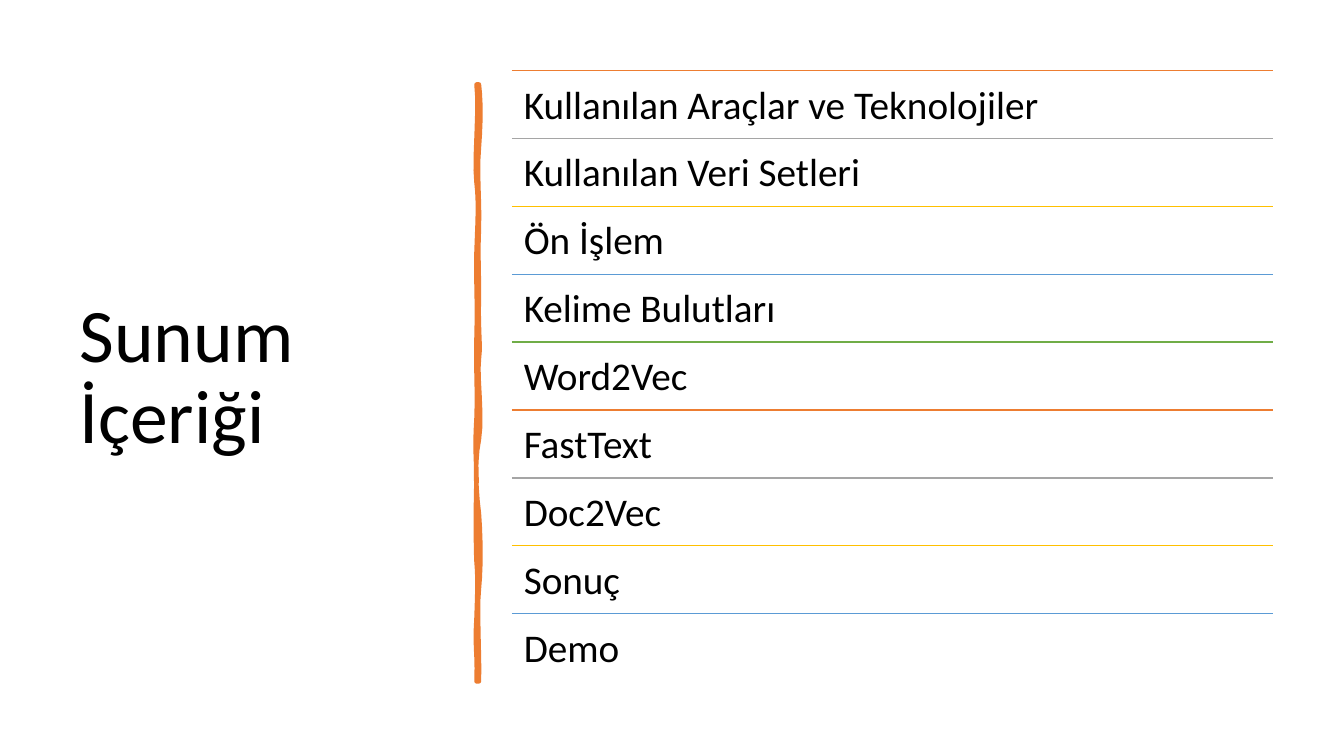
"""Builds the agenda slide: a title, a hand-drawn divider and a ruled list of topics."""

from typing import NamedTuple

from lxml import etree
from pptx import Presentation
from pptx.dml.color import RGBColor
from pptx.enum.shapes import MSO_CONNECTOR
from pptx.enum.text import MSO_ANCHOR, MSO_AUTO_SIZE, PP_ALIGN
from pptx.oxml.ns import qn
from pptx.shapes.autoshape import Shape
from pptx.slide import Slide
from pptx.util import Cm, Length, Pt

STRAIGHT = MSO_CONNECTOR.STRAIGHT
TOP, MIDDLE = MSO_ANCHOR.TOP, MSO_ANCHOR.MIDDLE
NO_AUTOFIT = MSO_AUTO_SIZE.NONE
LEFT = PP_ALIGN.LEFT

BLACK = RGBColor(0x00, 0x00, 0x00)
ORANGE = RGBColor(0xED, 0x7D, 0x31)
GRAY = RGBColor(0xA5, 0xA5, 0xA5)
GOLD = RGBColor(0xFF, 0xC0, 0x00)
BLUE = RGBColor(0x5B, 0x9B, 0xD5)
GREEN = RGBColor(0x70, 0xAD, 0x47)

FONT = "Calibri"
LIST_LEFT, LIST_TOP, LIST_WIDTH = Cm(12.9), Cm(1.78), Cm(19.18)
ROW_HEIGHT = Cm(1.71)
TEXT_RISE = Cm(0.29)
TEXT_INSET = Cm(0.3)
CURVE_STEPS = 6


class Topic(NamedTuple):
    name: str
    color: RGBColor


class Point(NamedTuple):
    x: float
    y: float


class Curve(NamedTuple):
    first_control: Point
    second_control: Point
    end: Point


TOPICS = [
    Topic("Kullanılan Araçlar ve Teknolojiler", ORANGE),
    Topic("Kullanılan Veri Setleri", GRAY),
    Topic("Ön İşlem", GOLD),
    Topic("Kelime Bulutları", BLUE),
    Topic("Word2Vec", GREEN),
    Topic("FastText", ORANGE),
    Topic("Doc2Vec", GRAY),
    Topic("Sonuç", GOLD),
    Topic("Demo", BLUE),
]

RIGHT_EDGE_START = Point(12.07, 2.13)
RIGHT_EDGE = [
    Curve(Point(12.12, 2.59), Point(12.12, 3.02), Point(12.07, 3.71)),
    Curve(Point(12.01, 4.39), Point(12.09, 4.95), Point(12.07, 5.74)),
    Curve(Point(12.04, 6.53), Point(12.07, 6.65), Point(12.07, 7.47)),
    Curve(Point(12.04, 8.26), Point(12.12, 8.69), Point(12.07, 9.04)),
    Curve(Point(12.01, 9.4), Point(12.17, 10.52), Point(12.07, 11.07)),
    Curve(Point(11.96, 11.61), Point(11.99, 12.29), Point(12.07, 12.95)),
    Curve(Point(12.12, 13.61), Point(12.12, 14.33), Point(12.07, 14.83)),
    Curve(Point(12.01, 15.32), Point(12.09, 16.51), Point(12.07, 17.17)),
]
LEFT_EDGE_START = Point(12.01, 17.17)
LEFT_EDGE = [
    Curve(Point(12.04, 16.41), Point(11.96, 16.36), Point(12.01, 15.57)),
    Curve(Point(12.04, 14.81), Point(12.04, 14.48), Point(12.01, 14.15)),
    Curve(Point(11.99, 13.82), Point(11.99, 12.57), Point(12.01, 12.12)),
    Curve(Point(12.01, 11.66), Point(11.96, 11.3), Point(12.01, 10.54)),
    Curve(Point(12.04, 9.8), Point(11.99, 9.47), Point(12.01, 8.51)),
    Curve(Point(12.04, 7.57), Point(11.99, 7.14), Point(12.01, 6.35)),
    Curve(Point(12.04, 5.54), Point(12.07, 5.08), Point(12.01, 4.6)),
    Curve(Point(11.94, 4.14), Point(12.09, 2.64), Point(12.01, 2.13)),
]


def place(shape: Shape, left: Length, top: Length, width: Length, height: Length) -> None:
    shape.left, shape.top, shape.width, shape.height = left, top, width, height


def format_text(shape: Shape, size: Length, anchor: MSO_ANCHOR, spacing: float | Length) -> None:
    frame = shape.text_frame
    frame.word_wrap = True
    frame.auto_size = NO_AUTOFIT
    frame.vertical_anchor = anchor
    for paragraph in frame.paragraphs:
        paragraph.alignment = LEFT
        paragraph.line_spacing = spacing
        paragraph.space_before = paragraph.space_after = Pt(0)
        for run in paragraph.runs:
            run.font.name = FONT
            run.font.size = size
            run.font.color.rgb = BLACK


def add_title(slide: Slide) -> None:
    title = slide.shapes.title
    place(title, Cm(1.75), Cm(1.78), Cm(9.5), Cm(15.52))
    title.text_frame.text = "Sunum İçeriği"
    format_text(title, Pt(54), MIDDLE, 0.9)


def edge_points(start: Point, curves: list[Curve]) -> list[Point]:
    points = [start]
    for first, second, end in curves:
        begin = points[-1]
        for step in range(1, CURVE_STEPS + 1):
            t = step / CURVE_STEPS
            weights = ((1 - t) ** 3, 3 * t * (1 - t) ** 2, 3 * t * t * (1 - t), t**3)
            anchors = (begin, first, second, end)
            points.append(Point(
                sum(weight * anchor.x for weight, anchor in zip(weights, anchors)),
                sum(weight * anchor.y for weight, anchor in zip(weights, anchors)),
            ))
    return points


def add_divider(slide: Slide) -> None:
    outline = edge_points(RIGHT_EDGE_START, RIGHT_EDGE) + edge_points(LEFT_EDGE_START, LEFT_EDGE)
    vertices = [(Cm(point.x), Cm(point.y)) for point in outline]
    builder = slide.shapes.build_freeform(*vertices[0])
    builder.add_line_segments(vertices[1:], close=True)
    divider = builder.convert_to_shape()
    divider.shadow.inherit = False
    divider.fill.solid()
    divider.fill.fore_color.rgb = ORANGE
    divider.line.color.rgb = ORANGE
    divider.line.width = Pt(3.25)
    etree.SubElement(divider.line._get_or_add_ln(), qn("a:round"))


def add_rule(slide: Slide, top: Length, color: RGBColor) -> None:
    rule = slide.shapes.add_connector(STRAIGHT, LIST_LEFT, top, LIST_LEFT + LIST_WIDTH, top)
    rule.line.color.rgb = color
    rule.line.width = Pt(1)
    etree.SubElement(rule._element.spPr, qn("a:effectLst"))


def add_topics(slide: Slide) -> None:
    body = slide.placeholders[1]
    place(body, LIST_LEFT, LIST_TOP - TEXT_RISE, LIST_WIDTH, ROW_HEIGHT * len(TOPICS))
    frame = body.text_frame
    frame.text = "\n".join(topic.name for topic in TOPICS)
    frame.margin_left = frame.margin_right = TEXT_INSET
    frame.margin_top = frame.margin_bottom = 0
    format_text(body, Pt(28), TOP, ROW_HEIGHT)
    for paragraph in frame.paragraphs:
        properties = paragraph._p.get_or_add_pPr()
        properties.set("marL", "0")
        properties.set("indent", "0")
        etree.SubElement(properties, qn("a:buNone"))
    for row, topic in enumerate(TOPICS):
        add_rule(slide, LIST_TOP + row * ROW_HEIGHT, topic.color)


def main() -> None:
    presentation = Presentation()
    presentation.slide_width, presentation.slide_height = Cm(33.87), Cm(19.05)
    slide = presentation.slides.add_slide(presentation.slide_layouts[1])
    add_title(slide)
    add_divider(slide)
    add_topics(slide)
    presentation.save("out.pptx")


if __name__ == "__main__":
    main()
